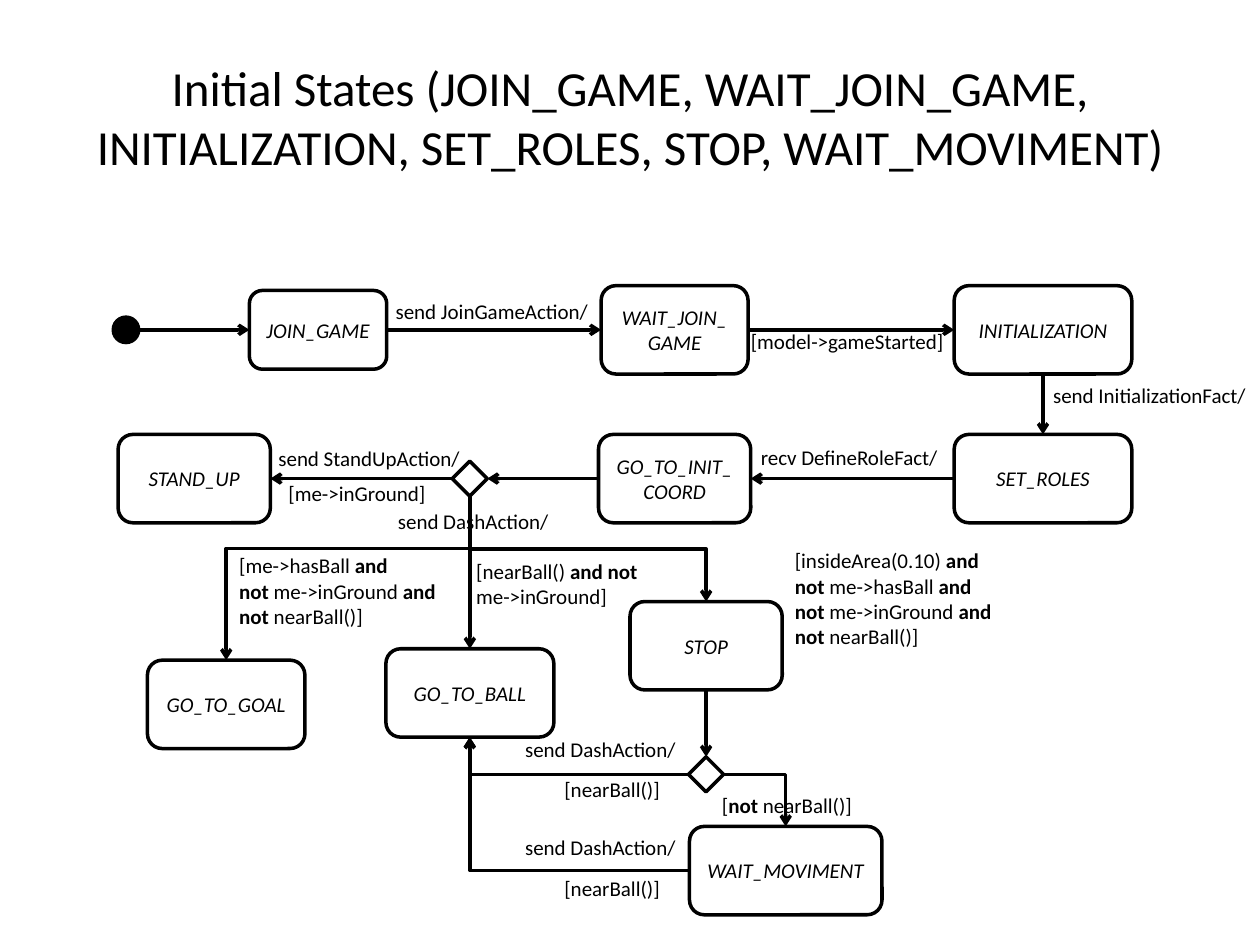
import pptx
import pptx.dml.color
import pptx.enum.shapes
import pptx.enum.text
import pptx.oxml
import pptx.oxml.ns
import pptx.util

Pt = pptx.util.Pt
BLACK = pptx.dml.color.RGBColor(0, 0, 0)
WHITE = pptx.dml.color.RGBColor(255, 255, 255)
FONT = "Calibri"
LINE = Pt(2)
SHAPE = pptx.enum.shapes.MSO_SHAPE
LINK = pptx.enum.shapes.MSO_CONNECTOR
ALIGN = pptx.enum.text.PP_ALIGN
ANCHOR = pptx.enum.text.MSO_ANCHOR
FIT = pptx.enum.text.MSO_AUTO_SIZE
TOP, LEFT, BOTTOM, RIGHT = range(4)

TITLE = ("Initial States (JOIN_GAME, WAIT_JOIN_GAME, INITIALIZATION, "
         "SET_ROLES, STOP, WAIT_MOVIMENT)")

# name: centre x, centre y, width, height
STATES = {
    "JOIN_GAME": (121.75, 28.5, 78.5, 45),
    "WAIT_JOIN_GAME": (325.5, 28.5, 84, 50.5),
    "INITIALIZATION": (536, 28.5, 101.5, 50.5),
    "SET_ROLES": (536, 113.5, 101.5, 50.5),
    "GO_TO_INIT_COORD": (325.5, 113.5, 87, 50.5),
    "STAND_UP": (51, 113.5, 87, 50.5),
    "GO_TO_GOAL": (69.25, 242.5, 90, 50.5),
    "GO_TO_BALL": (208.5, 236, 96, 50.5),
    "STOP": (343.5, 209, 87, 50.5),
    "WAIT_MOVIMENT": (389, 337.5, 110, 50.5),
}
MARKS = {
    "start": (SHAPE.OVAL, BLACK, (12, 28.5, 14.5, 14.5)),
    "fork": (SHAPE.DIAMOND, WHITE, (208.5, 113.5, 20, 20)),
    "choice": (SHAPE.DIAMOND, WHITE, (343.5, 282.5, 20, 20)),
}
STRAIGHT = [
    ("start", RIGHT, "JOIN_GAME", LEFT),
    ("JOIN_GAME", RIGHT, "WAIT_JOIN_GAME", LEFT),
    ("WAIT_JOIN_GAME", RIGHT, "INITIALIZATION", LEFT),
    ("INITIALIZATION", BOTTOM, "SET_ROLES", TOP),
    ("SET_ROLES", LEFT, "GO_TO_INIT_COORD", RIGHT),
    ("GO_TO_INIT_COORD", LEFT, "fork", RIGHT),
    ("fork", LEFT, "STAND_UP", RIGHT),
    ("fork", BOTTOM, "GO_TO_BALL", TOP),
    ("STOP", BOTTOM, "choice", TOP),
]
CORNERS = [
    ("choice", RIGHT, "WAIT_MOVIMENT", TOP),
    ("choice", LEFT, "GO_TO_BALL", BOTTOM),
    ("WAIT_MOVIMENT", LEFT, "GO_TO_BALL", BOTTOM),
]
# start, end, share of the drop before the bend
DROPS = [("fork", "GO_TO_GOAL", 0.32), ("fork", "STOP", 0.5)]
# left, top, width, lines with bold parts between asterisks
LABELS = [
    (159, 7, 124.5, "send JoinGameAction/"),
    (362, 24.3, 124.5, "[model->gameStarted]"),
    (534.7, 55.3, 125.3, "send InitializationFact/"),
    (367.7, 90.6, 116, "recv DefineRoleFact/"),
    (92, 91.3, 118, "send StandUpAction/"),
    (97.7, 111, 93, "[me->inGround]"),
    (160.3, 127.3, 102, "send DashAction/"),
    (69.6, 152.5, 129.6,
     "[me->hasBall *and*\n*not* me->inGround *and*\n*not* nearBall()]"),
    (205, 155.4, 109.4, "[nearBall() *and not*\nme->inGround]"),
    (387.1, 149.6, 129.6, "[insideArea(0.10) *and*\n*not *me->hasBall *and*\n"
     "*not* me->inGround *and*\n*not* nearBall()]"),
    (233, 257.6, 102, "send DashAction/"),
    (255.4, 280.2, 69, "[nearBall()]"),
    (345.4, 289.5, 88.6, "[*not* nearBall()]"),
    (233, 313.3, 102, "send DashAction/"),
    (255.4, 336.8, 69, "[nearBall()]"),
]


def write(shape, text, size=12, italic=False, align=ALIGN.LEFT,
          anchor=ANCHOR.TOP, wrap=True):
    """Fill a shape with text; parts between asterisks are bold."""
    frame = shape.text_frame
    frame.word_wrap = wrap
    frame.vertical_anchor = anchor
    for i, line in enumerate(text.split("\n")):
        para = frame.paragraphs[0] if i == 0 else frame.add_paragraph()
        para.alignment = align
        for j, part in enumerate(line.split("*")):
            if part:
                run = para.add_run()
                run.text = part
                run.font.name, run.font.size = FONT, Pt(size)
                run.font.bold, run.font.italic = j % 2 == 1, italic
                run.font.color.rgb = BLACK


def node(slide, left, top, kind, fill, place):
    """Draw a shape centred on its place within the diagram."""
    x, y, w, h = place
    shape = slide.shapes.add_shape(kind, Pt(left + x - w / 2),
                                   Pt(top + y - h / 2), Pt(w), Pt(h))
    shape.shadow.inherit = False
    shape.fill.solid()
    shape.fill.fore_color.rgb = fill
    shape.line.color.rgb = BLACK
    shape.line.width = LINE
    return shape


def port(shape, side):
    """Return the middle of one side of a shape."""
    dx, dy = {TOP: (1, 0), LEFT: (0, 1), BOTTOM: (1, 2), RIGHT: (2, 1)}[side]
    return (shape.left + shape.width * dx // 2,
            shape.top + shape.height * dy // 2)


def arrow(slide, kind, start, end):
    link = slide.shapes.add_connector(kind, *start, *end)
    link.line.color.rgb = BLACK
    link.line.width = LINE
    tip = pptx.oxml.parse_xml(
        '<a:tailEnd %s type="arrow"/>' % pptx.oxml.ns.nsdecls("a"))
    link.line._get_or_add_ln().append(tip)
    link._element.spPr.append(pptx.oxml.parse_xml(
        "<a:effectLst %s/>" % pptx.oxml.ns.nsdecls("a")))
    return link


def corner(slide, start, end):
    """Draw an arrow that runs across, then turns once."""
    link = arrow(slide, LINK.ELBOW, start, end)
    link._element.spPr.prstGeom.set("prst", "bentConnector2")


def drop(slide, start, end, bend):
    """Draw an arrow that runs down, across and down again."""
    (x1, y1), (x2, y2) = start, end
    midx, midy = (x1 + x2) // 2, (y1 + y2) // 2
    dx, dy = (x2 - x1) // 2, (y2 - y1) // 2
    link = arrow(slide, LINK.ELBOW, (midx - dy, midy + dx),
                 (midx + dy, midy - dx))
    props = link._element.spPr
    props.xfrm.set("rot", str(90 * 60000))
    props.prstGeom.get_or_add_avLst().append(pptx.oxml.parse_xml(
        '<a:gd %s name="adj1" fmla="val %d"/>'
        % (pptx.oxml.ns.nsdecls("a"), bend * 100000)))


def title(slide, left, top, width, height):
    box = slide.shapes.add_textbox(Pt(left), Pt(top), Pt(width), Pt(height))
    write(box, TITLE, size=28, align=ALIGN.CENTER, anchor=ANCHOR.MIDDLE)


def label(slide, left, top, width, text):
    high = 21.6 + 14.4 * text.count("\n")
    box = slide.shapes.add_textbox(Pt(left), Pt(top), Pt(width), Pt(high))
    write(box, text, wrap=False)
    box.text_frame.auto_size = FIT.SHAPE_TO_FIT_TEXT


def chart(slide, left, top):
    """Draw the state diagram from its top left corner."""
    nodes = {}
    for name, place in STATES.items():
        nodes[name] = node(slide, left, top, SHAPE.ROUNDED_RECTANGLE,
                           WHITE, place)
        write(nodes[name], name, italic=True, align=ALIGN.CENTER,
              anchor=ANCHOR.MIDDLE)
    for name, (kind, fill, place) in MARKS.items():
        nodes[name] = node(slide, left, top, kind, fill, place)
    for a, out, b, into in STRAIGHT:
        link = arrow(slide, LINK.STRAIGHT, port(nodes[a], out),
                     port(nodes[b], into))
        if a != "start":
            link.begin_connect(nodes[a], out)
        link.end_connect(nodes[b], into)
    for a, out, b, into in CORNERS:
        corner(slide, port(nodes[a], out), port(nodes[b], into))
    for a, b, bend in DROPS:
        drop(slide, port(nodes[a], BOTTOM), port(nodes[b], TOP), bend)
    for x, y, width, text in LABELS:
        label(slide, left + x, top + y, width, text)


def main():
    deck = pptx.Presentation()
    deck.slide_width, deck.slide_height = Pt(720), Pt(540)
    slide = deck.slides.add_slide(deck.slide_layouts[6])
    title(slide, 36, 21.6, 648, 90)
    chart(slide, 60, 160)
    deck.save("out.pptx")


if __name__ == "__main__":
    main()
